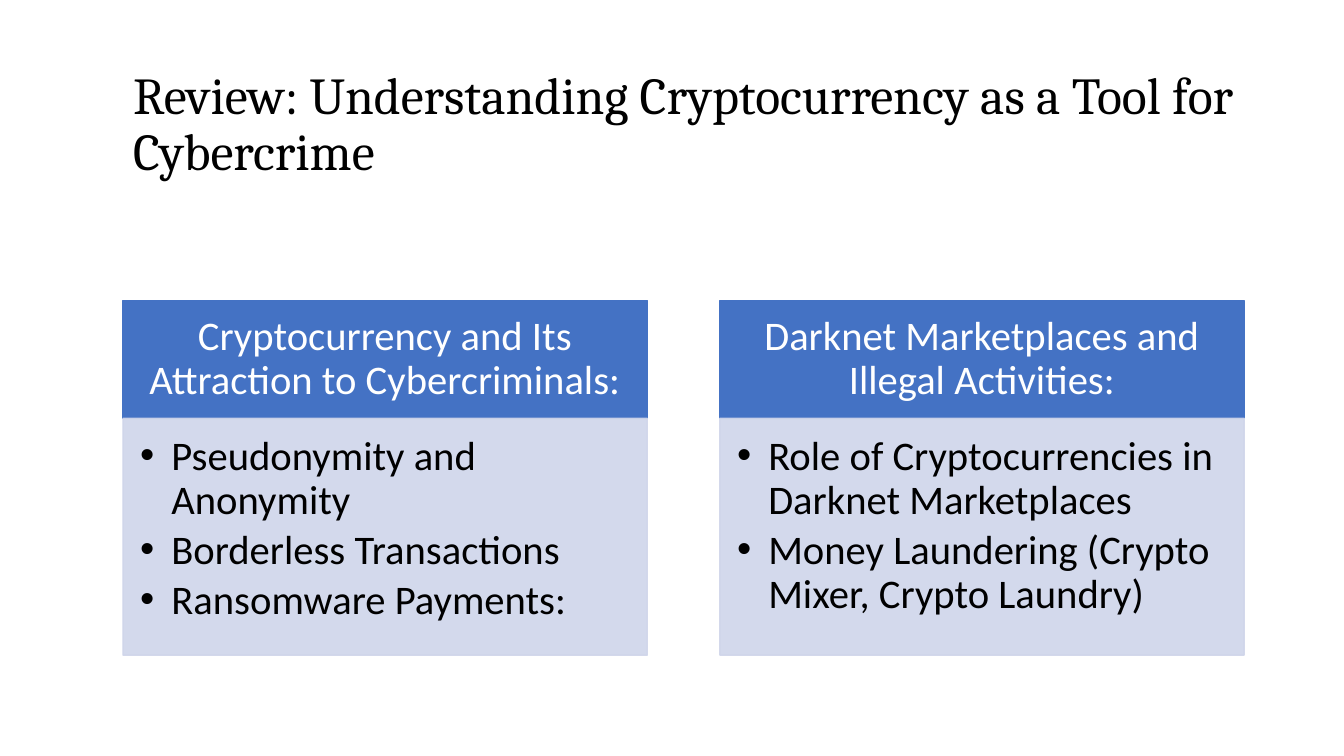
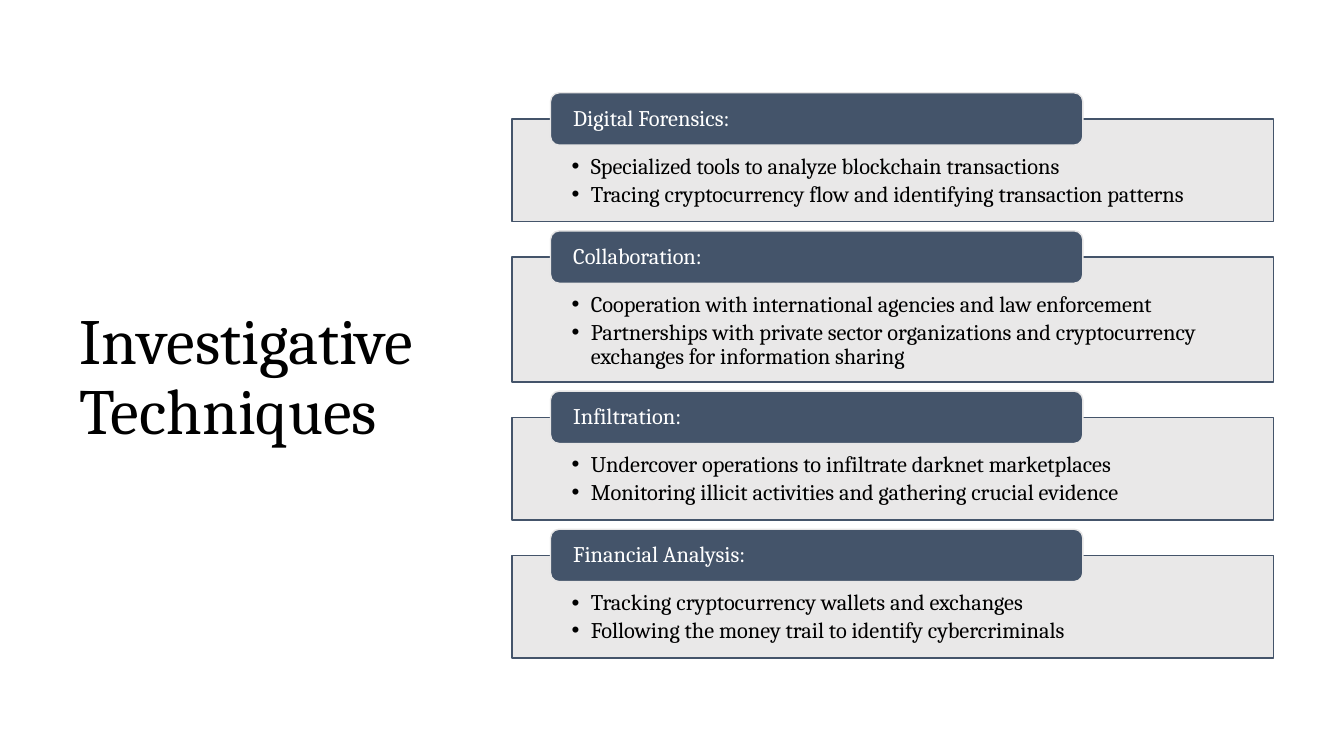
from lxml import etree
from pptx import Presentation
from pptx.dml.color import RGBColor
from pptx.enum.shapes import MSO_SHAPE as Shape
from pptx.enum.text import MSO_ANCHOR as Anchor, MSO_AUTO_SIZE as Fit, PP_ALIGN as Align
from pptx.oxml.ns import qn
from pptx.util import Inches, Pt

# Shared look
SERIF, SANS = "Cambria", "Calibri"
BLACK, WHITE = "000000", "FFFFFF"
BLUE, PALE = "4472C4", "CFD5EA"
SLATE, GREY = "44546A", "E7E6E6"

# Content
COLUMNS = [
    ("Cryptocurrency and Its Attraction to Cybercriminals:",
     ["Pseudonymity and Anonymity", "Borderless Transactions", "Ransomware Payments:"]),
    ("Darknet Marketplaces and Illegal Activities:",
     ["Role of Cryptocurrencies in Darknet Marketplaces",
      "Money Laundering (Crypto Mixer, Crypto Laundry)"]),
]
METHODS = [  # label, panel height, points
    ("Digital Forensics:", 1.02,
     ["Specialized tools to analyze blockchain transactions",
      "Tracing cryptocurrency flow and identifying transaction patterns"]),
    ("Collaboration:", 1.24,
     ["Cooperation with international agencies and law enforcement",
      "Partnerships with private sector organizations and cryptocurrency "
      "exchanges for information sharing"]),
    ("Infiltration:", 1.02,
     ["Undercover operations to infiltrate darknet marketplaces",
      "Monitoring illicit activities and gathering crucial evidence"]),
    ("Financial Analysis:", 1.02,
     ["Tracking cryptocurrency wallets and exchanges",
      "Following the money trail to identify cybercriminals"]),
]


def color(code):
    return RGBColor.from_string(code)


def add_bullet(par, indent):
    props = par._p.get_or_add_pPr()
    props.set("marL", str(Inches(indent)))
    props.set("indent", str(-Inches(indent)))
    etree.SubElement(props, qn("a:buFont")).set("typeface", "Arial")
    etree.SubElement(props, qn("a:buChar")).set("char", "•")


def write(shape, lines, size, font=SERIF, ink=BLACK, align=Align.LEFT,
          anchor=Anchor.MIDDLE, pad=(0.1, 0.05, 0.1, 0.05), indent=0, after=0):
    """Fill a shape with paragraphs; after is a share of the text size."""
    frame = shape.text_frame
    frame.word_wrap, frame.auto_size = True, Fit.NONE
    frame.vertical_anchor = anchor
    (frame.margin_left, frame.margin_top,
     frame.margin_right, frame.margin_bottom) = map(Inches, pad)
    for i, line in enumerate(lines):
        par = frame.add_paragraph() if i else frame.paragraphs[0]
        par.alignment, par.line_spacing = align, 0.9
        par.space_before, par.space_after = Pt(0), Pt(round(size * after, 1))
        if indent:
            add_bullet(par, indent)
        run = par.add_run()
        run.text = line
        run.font.size, run.font.name = Pt(size), font
        run.font.color.rgb = color(ink)


def add_title(deck, text, box, size):
    slide = deck.slides.add_slide(deck.slide_layouts[5])
    title = slide.shapes.title
    title.left, title.top, title.width, title.height = map(Inches, box)
    write(title, [text], size)
    return slide


def add_box(slide, box, fill, line, kind=Shape.RECTANGLE, alpha=100):
    """Draw a box; alpha applies wherever its fill colour is used."""
    shape = slide.shapes.add_shape(kind, *map(Inches, box))
    shape.shadow.inherit = False
    shape.fill.solid()
    shape.fill.fore_color.rgb = color(fill)
    shape.line.color.rgb = color(line)
    shape.line.width = Pt(1)
    if alpha < 100:
        for tint in shape._element.spPr.iter(qn("a:srgbClr")):
            if tint.get("val") == fill:
                etree.SubElement(tint, qn("a:alpha")).set("val", str(alpha * 1000))
    return shape


def add_column(slide, left, head, points):
    top, width, high = 2.98, 5.2, 1.17
    bar = add_box(slide, (left, top, width, high), BLUE, BLUE)
    write(bar, [head], 29, SANS, WHITE, Align.CENTER,
          pad=(0.23, 0.13, 0.23, 0.13), after=0.35)
    body = add_box(slide, (left, top + high, width, 2.35), PALE, PALE, alpha=90)
    write(body, points, 29, SANS, anchor=Anchor.TOP,
          pad=(0.17, 0.17, 0.23, 0.25), indent=0.31, after=0.15)


def add_method(slide, top, label, high, points):
    panel = add_box(slide, (5.08, top, 7.55, high), GREY, SLATE, alpha=90)
    write(panel, points, 16, anchor=Anchor.TOP,
          pad=(0.59, 0.36, 0.59, 0.12), indent=0.19, after=0.15)
    tab = add_box(slide, (5.46, top - 0.26, 5.28, 0.52), SLATE, GREY,
                  Shape.ROUNDED_RECTANGLE)
    write(tab, [label], 16, ink=WHITE, pad=(0.2, 0, 0.2, 0), after=0.35)


def main():
    deck = Presentation()
    deck.slide_width, deck.slide_height = Inches(13.33), Inches(7.5)

    # Slide 1: two columns
    slide = add_title(deck, "Review: Understanding Cryptocurrency as a Tool for Cybercrime",
                      (1.22, 0.6, 11.12, 1.29), 37)
    for i, (head, points) in enumerate(COLUMNS):
        add_column(slide, 1.22 + i * 5.92, head, points)

    # Slide 2: stacked panels with tabs
    slide = add_title(deck, "Investigative Techniques", (0.69, 0.7, 3.74, 6.11), 46)
    top = 1.18
    for label, high, points in METHODS:
        add_method(slide, top, label, high, points)
        top += high + 0.35

    deck.save("out.pptx")


if __name__ == "__main__":
    main()
